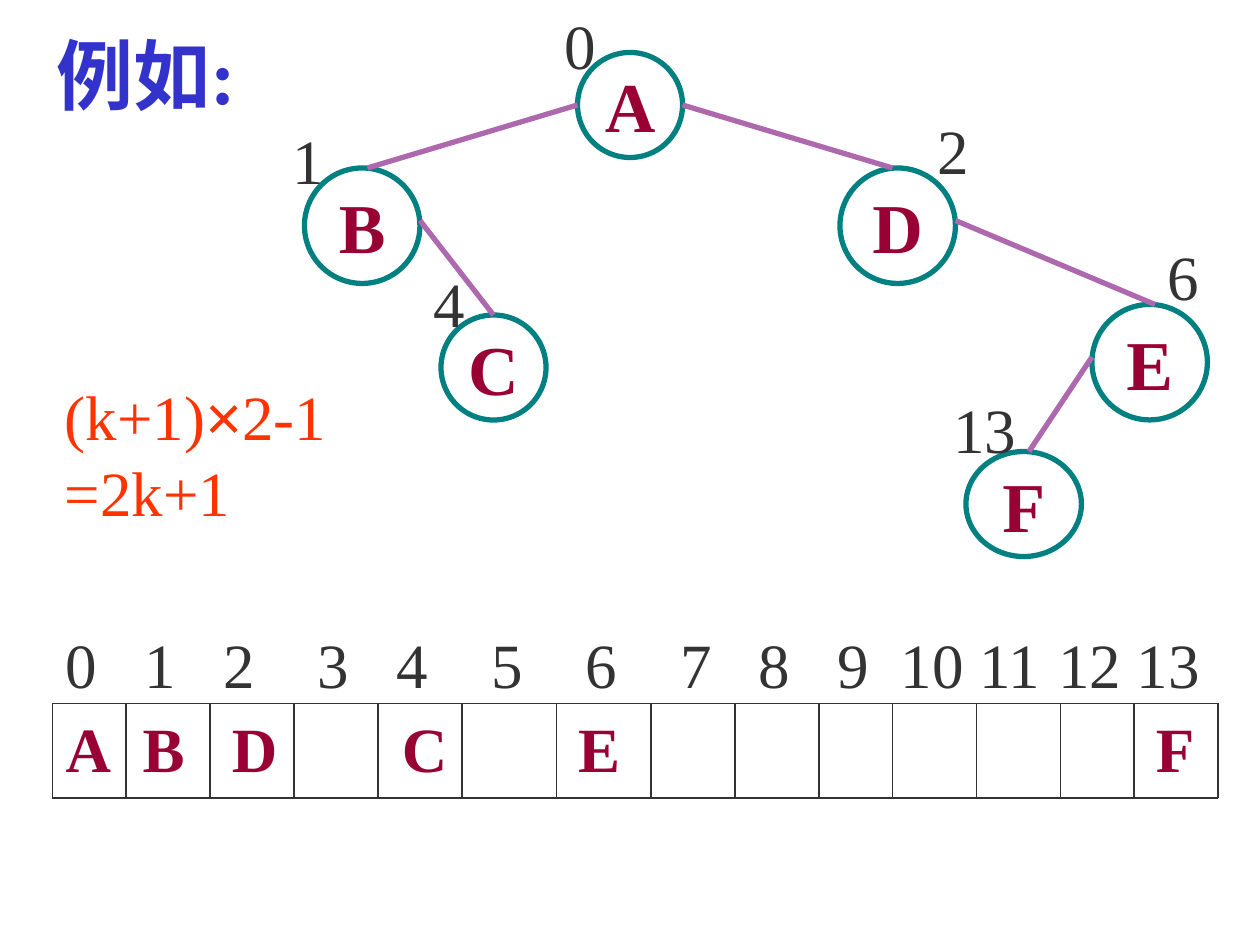
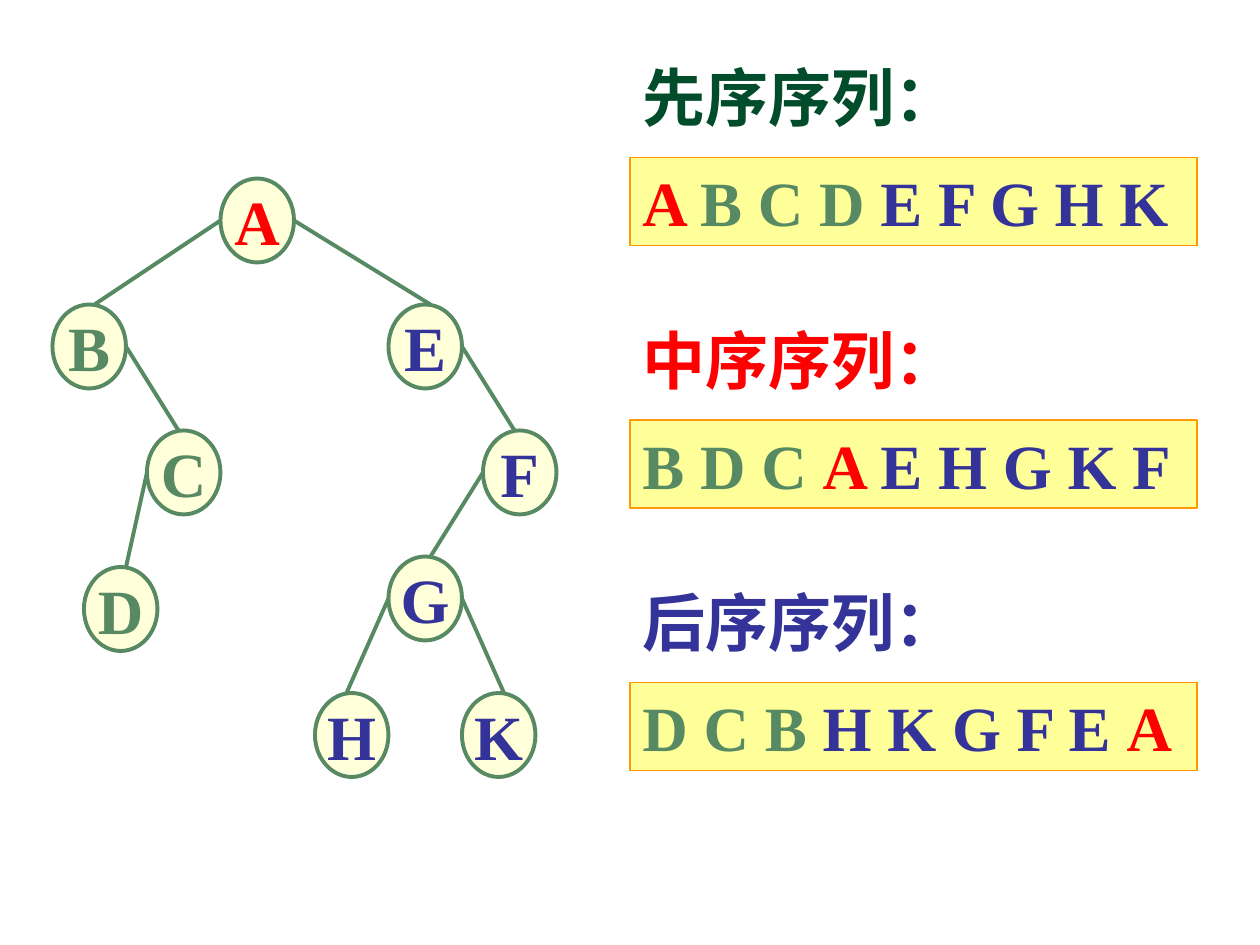
from itertools import groupby, pairwise

from lxml import etree
from pptx import Presentation
from pptx.dml.color import RGBColor
from pptx.enum.shapes import MSO_CONNECTOR, MSO_SHAPE
from pptx.enum.text import MSO_ANCHOR, PP_ALIGN
from pptx.oxml.ns import qn
from pptx.util import Pt

STRAIGHT = MSO_CONNECTOR.STRAIGHT
ELLIPSE, RECTANGLE = MSO_SHAPE.OVAL, MSO_SHAPE.RECTANGLE
MIDDLE, TOP = MSO_ANCHOR.MIDDLE, MSO_ANCHOR.TOP
LEFT, CENTER = PP_ALIGN.LEFT, PP_ALIGN.CENTER

FONT = "Times New Roman"
INK, CRIMSON, TEAL, MAUVE = "333333", "990033", "008080", "AE68AE"
RED, GREEN, NAVY, DARK_GREEN = "FF0000", "578963", "333399", "004C2B"
WHITE, CREAM, YELLOW, ORANGE = "FFFFFF", "FFFFD9", "FFFF99", "FF9900"
TITLE_BLUE, FORMULA_RED = "3333CC", "FF3300"
TEXT_HEIGHT = 50.4

STORED_NODES = {
    "A": (330, 30, 60, 60), "B": (174, 96, 66, 66), "C": (252, 180, 60, 60),
    "D": (480, 96, 66, 66), "E": (624, 174, 66, 66), "F": (552, 258, 66, 60),
}
STORED_EDGES = [("A", "B", 210), ("B", "C", 282), ("A", "D", 510),
                ("D", "E", 660), ("E", "F", 588)]
NODE_INDEXES = [("1", 160, 66), ("4", 240.5, 147.6), ("0", 315.4, 0),
                ("13", 537.8, 219.6), ("2", 528.5, 60), ("6", 660.2, 132)]
CELL_EDGES = [30, 72, 120, 168, 216, 264, 318, 372, 420, 468, 510, 558, 606, 648, 696]
CELL_TOP, CELL_BOTTOM = 402, 456
INDEX_TABS = [45, 90, 144, 189, 243, 297, 351, 396, 441, 477, 522, 567, 612]

TRAVERSED_CORNERS = {
    "A": (126, 102), "B": (30, 174), "C": (84, 246), "D": (48, 324), "E": (222, 174),
    "F": (276, 246), "G": (222, 318), "H": (180, 396), "K": (264, 396),
}
TRAVERSED_EDGES = [("A", "B", 54), ("B", "C", 102), ("C", "D", 72), ("A", "E", 246),
                   ("E", "F", 294), ("F", "G", 246), ("G", "H", 198), ("G", "K", 288)]
TRAVERSALS = [("先序序列：", DARK_GREEN, "ABCDEFGHK"),
              ("中序序列：", RED, "BDCAEHGKF"),
              ("后序序列：", NAVY, "DCBHKGFEA")]


def rgb(value):
    """Turn a hex string into a colour."""
    return RGBColor.from_string(value)


def write(box, text, size=36, color=INK, bold=False, font=FONT, align=LEFT,
          anchor=TOP, wrap=False, tabs=()):
    """Fill a box with text, or with (text, overrides) spans."""
    frame = box.text_frame
    frame.word_wrap = wrap
    frame.vertical_anchor = anchor
    para = frame.paragraphs[0]
    para.alignment = align
    if tabs:
        stops = etree.SubElement(para._p.get_or_add_pPr(), qn("a:tabLst"))
        for position in tabs:
            etree.SubElement(stops, qn("a:tab"), pos=str(Pt(position)), algn="l")
    for words, changes in [(text, {})] if isinstance(text, str) else text:
        span = para.add_run()
        span.text = words
        span.font.size = Pt(size)
        span.font.bold = bold
        span.font.name = changes.get("font", font)
        span.font.color.rgb = rgb(changes.get("color", color))


def add_text(slide, text, left, top, width, height=TEXT_HEIGHT, **form):
    """Add a text box."""
    box = slide.shapes.add_textbox(Pt(left), Pt(top), Pt(width), Pt(height))
    write(box, text, **form)


def add_box(slide, kind, place, text, fill, line, weight, **form):
    """Add a filled and outlined shape with text."""
    box = slide.shapes.add_shape(kind, *map(Pt, place))
    box.shadow.inherit = False
    box.fill.solid()
    box.fill.fore_color.rgb = rgb(fill)
    box.line.color.rgb = rgb(line)
    box.line.width = Pt(weight)
    write(box, text, **form)


def add_line(slide, start, end, color, weight):
    """Add a straight line without a shadow."""
    line = slide.shapes.add_connector(STRAIGHT, *map(Pt, (*start, *end)))
    line.line.color.rgb = rgb(color)
    line.line.width = Pt(weight)
    etree.SubElement(line._element.spPr, qn("a:effectLst"))


def add_tree(slide, nodes, edges, letter_color, size, fill, outline, edge_color, weight):
    """Draw nodes, then edges from a parent's side to a child's top."""
    for letter, place in nodes.items():
        add_box(slide, ELLIPSE, place, letter, fill, outline, weight, size=size,
                color=letter_color(letter), bold=True, align=CENTER, anchor=MIDDLE)
    for parent, child, end_x in edges:
        left, top, width, height = nodes[parent]
        start_x = left if end_x < left + width / 2 else left + width
        start_y = top + height // 12 * 6
        add_line(slide, (start_x, start_y), (end_x, nodes[child][1]), edge_color, weight)


def add_array(slide):
    """Draw the storage array with its indexes and stored letters."""
    for y in (CELL_TOP, CELL_BOTTOM):
        add_line(slide, (CELL_EDGES[0], y), (CELL_EDGES[-1], y), INK, 1)
    for x in CELL_EDGES:
        add_line(slide, (x, CELL_TOP), (x, CELL_BOTTOM), INK, 1)
    indexes = "\t".join(str(i) for i, _ in enumerate(pairwise(CELL_EDGES)))
    add_text(slide, indexes, 30.5, 354, 668, wrap=True, tabs=INDEX_TABS)
    add_text(slide, "A\tB\tD", 30.5, CELL_TOP, 141, color=CRIMSON, bold=True,
             wrap=True, tabs=[44, 95])
    for letter, left, width in [("C", 222.5, 40.4), ("E", 323.3, 38.4), ("F", 653.4, 36.4)]:
        add_text(slide, letter, left, CELL_TOP, width, color=CRIMSON, bold=True)


def branch_color(letter):
    """Colour the root red, the left branch green and the right one navy."""
    return RED if letter == "A" else GREEN if letter in "BCD" else NAVY


def sequence_spans(letters):
    """Split a visiting order into spaced spans of one colour."""
    groups = [(color, " ".join(group)) for color, group in groupby(letters, branch_color)]
    last = len(groups) - 1
    return [(words if i == last else words + " ", {"color": color})
            for i, (color, words) in enumerate(groups)]


def build_storage(slide):
    """Show a binary tree and its sequential storage."""
    add_text(slide, "例如:", 25, 12, 127.4, 60.5, size=44, color=TITLE_BLUE, bold=True)
    add_array(slide)
    add_tree(slide, STORED_NODES, STORED_EDGES, lambda letter: CRIMSON, 40,
             WHITE, TEAL, MAUVE, 3)
    for index, left, top in NODE_INDEXES:
        add_text(slide, index, left, top, 14.4 + 18 * len(index))
    formula = [("(k+1)", {}), ("×", {"font": "Arial"}), ("2-1 =2k+1", {})]
    add_text(slide, formula, 30, 212.4, 168, 93.6, color=FORMULA_RED, wrap=True)


def build_traversals(slide):
    """Show a binary tree and its three visiting orders."""
    nodes = {letter: (*corner, 42, 48) for letter, corner in TRAVERSED_CORNERS.items()}
    add_tree(slide, nodes, TRAVERSED_EDGES, branch_color, 36, CREAM, GREEN, GREEN, 2.25)
    for row, (heading, color, letters) in enumerate(TRAVERSALS):
        top = 30 + 150 * row
        add_text(slide, heading, 360, top, 204, color=color, bold=True, wrap=True)
        add_box(slide, RECTANGLE, (360, top + 60, 324, TEXT_HEIGHT),
                sequence_spans(letters), YELLOW, ORANGE, 1, bold=True, wrap=True)


def main():
    """Build the deck and save it."""
    deck = Presentation()
    deck.slide_width, deck.slide_height = Pt(720), Pt(540)
    for build in (build_storage, build_traversals):
        build(deck.slides.add_slide(deck.slide_layouts[6]))
    deck.save("out.pptx")


if __name__ == "__main__":
    main()
